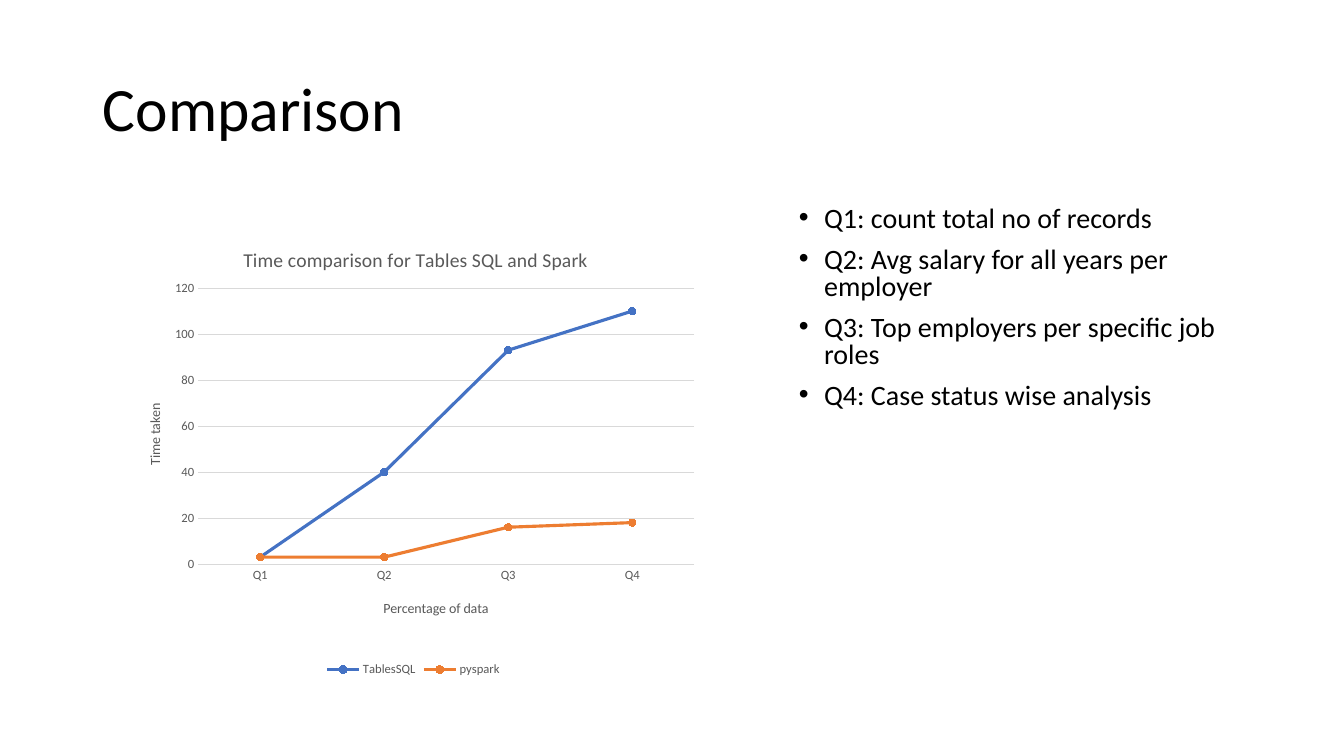
"""Builds a slide comparing query times of two engines in a line chart."""
from lxml import etree
from pptx import Presentation
from pptx.chart.data import CategoryChartData
from pptx.dml.color import RGBColor
from pptx.enum.chart import XL_CHART_TYPE, XL_LEGEND_POSITION, XL_MARKER_STYLE, XL_TICK_MARK
from pptx.enum.text import MSO_ANCHOR
from pptx.oxml import parse_xml
from pptx.oxml.ns import nsdecls, qn
from pptx.util import Emu, Pt

LINE_MARKERS = XL_CHART_TYPE.LINE_MARKERS
BOTTOM = XL_LEGEND_POSITION.BOTTOM
CIRCLE = XL_MARKER_STYLE.CIRCLE
NO_TICK = XL_TICK_MARK.NONE
MIDDLE = MSO_ANCHOR.MIDDLE

EMU_PER_PX = 914400 / 100.8
THEME = {
    "font": "Calibri",
    "ink": RGBColor.from_string("000000"),
    "muted": RGBColor.from_string("595959"),
    "grid": RGBColor.from_string("D9D9D9"),
    "engines": [RGBColor.from_string("4472C4"), RGBColor.from_string("ED7D31")],
    "heading": Pt(44),
    "body": Pt(20),
    "chart_title": Pt(14),
    "axis_title": Pt(10),
    "label": Pt(9),
}
CHART_BOX = (121, 221, 585, 460)
QUERIES = [
    "Q1: count total no of records",
    "Q2: Avg salary for all years per employer",
    "Q3: Top employers per specific job roles",
    "Q4: Case status wise analysis",
]
TIMES = {"TablesSQL": (3, 40, 93, 110), "pyspark": (3, 3, 16, 18)}


def style(font, size, color):
    for name, value in {"name": THEME["font"], "size": size, "bold": False}.items():
        setattr(font, name, value)
    font.color.rgb = color


def place(element, left, top, width=None, height=None):
    for old in element.findall(qn("c:layout")):
        element.remove(old)
    layout = parse_xml(f"<c:layout {nsdecls('c')}><c:manualLayout/></c:layout>")
    chart_left, chart_top, chart_width, chart_height = CHART_BOX
    values = {"xMode": "edge", "yMode": "edge",
              "x": round((left - chart_left) / chart_width, 3),
              "y": round((top - chart_top) / chart_height, 3)}
    if width:
        values = {"layoutTarget": "inner", **values,
                  "w": round(width / chart_width, 3), "h": round(height / chart_height, 3)}
    for tag, value in values.items():
        etree.SubElement(layout[0], qn(f"c:{tag}")).set("val", str(value))
    element.insert(len(element.findall(qn("c:tx"))), layout)


prs = Presentation()
prs.slide_width, prs.slide_height = (Emu(round(px * EMU_PER_PX)) for px in (1344, 756))
slide = prs.slides.add_slide(prs.slide_layouts[6])

heading_box, query_box, chart_box = (
    [Emu(round(px * EMU_PER_PX)) for px in box]
    for box in ((93, 38, 1159, 146), (789, 202, 463, 231), CHART_BOX)
)

heading = slide.shapes.add_textbox(*heading_box).text_frame
heading.word_wrap = True
heading.vertical_anchor = MIDDLE
heading.text = "Comparison"
heading.paragraphs[0].line_spacing = 0.9
style(heading.paragraphs[0].runs[0].font, THEME["heading"], THEME["ink"])

query_list = slide.shapes.add_textbox(*query_box).text_frame
query_list.word_wrap = True
query_list.text = "\n".join(QUERIES)
for query in query_list.paragraphs:
    query.line_spacing = 0.8
    query.space_before = Pt(10)
    style(query.runs[0].font, THEME["body"], THEME["ink"])
    properties = query._p.get_or_add_pPr()
    properties.set("marL", "228600")
    properties.set("indent", "-228600")
    etree.SubElement(properties, qn("a:buFont")).set("typeface", "Arial")
    etree.SubElement(properties, qn("a:buChar")).set("char", "•")

timing_data = CategoryChartData()
timing_data.categories = ["Q1", "Q2", "Q3", "Q4"]
for engine, times in TIMES.items():
    timing_data.add_series(engine, times)
chart = slide.shapes.add_chart(LINE_MARKERS, *chart_box, timing_data).chart
style(chart.font, THEME["label"], THEME["muted"])
chart.has_legend = True
chart.legend.position = BOTTOM
chart.legend.include_in_layout = False
style(chart.legend.font, THEME["label"], THEME["muted"])
chart.plots[0].vary_by_categories = False
place(chart._chartSpace.chart.plotArea, 198, 288, 496, 276)

query_axis, time_axis = chart.category_axis, chart.value_axis
for title, words, size, left, top in (
    (chart.chart_title, "Time comparison for Tables SQL and Spark", "chart_title", 240, 243),
    (query_axis.axis_title, "Percentage of data", "axis_title", 381, 597),
    (time_axis.axis_title, "Time taken", "axis_title", 143, 401),
):
    title.text_frame.text = words
    style(title.text_frame.paragraphs[0].runs[0].font, THEME[size], THEME["muted"])
    place(title._element, left, top)

for axis in (query_axis, time_axis):
    axis.major_tick_mark = NO_TICK
    axis.minor_tick_mark = NO_TICK
    style(axis.tick_labels.font, THEME["label"], THEME["muted"])
for name, value in {"minimum_scale": 0, "maximum_scale": 120, "major_unit": 20,
                    "has_major_gridlines": True}.items():
    setattr(time_axis, name, value)
time_axis.format.line.fill.background()
for rule in (query_axis.format.line, time_axis.major_gridlines.format.line):
    rule.color.rgb = THEME["grid"]
    rule.width = Pt(0.75)

for engine, color in zip(chart.plots[0].series, THEME["engines"]):
    engine.smooth = False
    engine.format.line.color.rgb = color
    engine.format.line.width = Pt(2.25)
    engine.marker.style = CIRCLE
    engine.marker.size = 5
    engine.marker.format.fill.solid()
    engine.marker.format.fill.fore_color.rgb = color
    engine.marker.format.line.color.rgb = color

prs.save("out.pptx")
